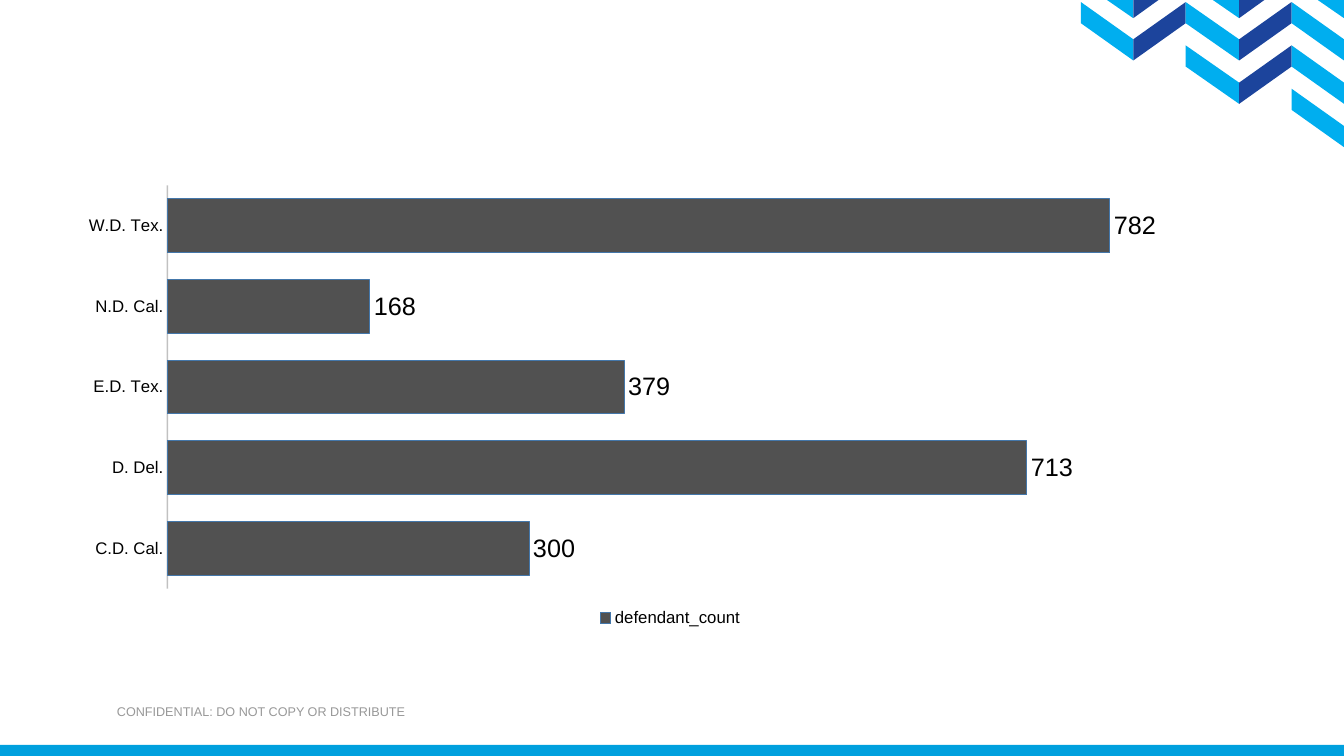
from lxml import etree
from pptx import Presentation
from pptx import util as u
from pptx.chart.data import CategoryChartData
from pptx.dml.color import RGBColor
from pptx.enum import chart as ch, shapes, text
from pptx.oxml.ns import qn

LIGHT, DARK = "00AEEF", "1C449C"


def paint(sp, color):
    sp.shadow.inherit = False
    sp.fill.solid()
    sp.fill.fore_color.rgb = RGBColor.from_string(color)
    sp.line.fill.background()


def style(font, size, color="000000"):
    font.name = "Arial"
    font.size = u.Pt(size)
    font.color.rgb = RGBColor.from_string(color)


prs = Presentation()
prs.slide_width, prs.slide_height = u.Inches(13.33), u.Inches(7.5)
s = prs.slides.add_slide(prs.slide_layouts[6])

# Footer text and bar
tb = s.shapes.add_textbox(u.Inches(1.03), u.Inches(6.86), u.Inches(9.97), u.Inches(0.4))
tf = tb.text_frame
tf.word_wrap = True
tf.vertical_anchor = text.MSO_ANCHOR.MIDDLE
tf.margin_left = tf.margin_right = u.Inches(0.13)
tf.margin_top = tf.margin_bottom = u.Inches(0.07)
r = tf.paragraphs[0].add_run()
r.text = "CONFIDENTIAL: DO NOT COPY OR DISTRIBUTE"
style(r.font, 9, "989898")
bar = s.shapes.add_shape(shapes.MSO_SHAPE.RECTANGLE, 0, u.Inches(7.39), prs.slide_width, u.Inches(0.11))
paint(bar, "00A0DE")

# Corner chevrons: bands falling and rising in turn, cut off by the slide's top edge
xs = [10.72, 11.24, 11.76, 12.29, 12.81, 13.33]
outlines = []
for i, rows in enumerate([1, 1, 2, 2, 3]):
    color = DARK if i % 2 else LIGHT
    left, right = xs[i], xs[i + 1]
    valley, peak = (left, right) if i % 2 else (right, left)
    for k in range(rows):
        y = 0.02 + 0.43 * k
        outlines.append((color, [(peak, y), (valley, y + 0.37), (valley, y + 0.58), (peak, y + 0.21)]))
for x in xs[1::2]:
    outlines.append((LIGHT, [(x - 0.26, 0), (x, 0), (x, 0.18)]))
for x in xs[1:4:2]:
    outlines.append((DARK, [(x, 0), (x + 0.25, 0), (x, 0.18)]))
for color, points in outlines:
    points = [(u.Inches(x), u.Inches(y)) for x, y in points]
    fb = s.shapes.build_freeform(*points[0])
    fb.add_line_segments(points[1:], close=True)
    paint(fb.convert_to_shape(), color)

# Bar chart
data = CategoryChartData()
data.categories = ["C.D. Cal.", "D. Del.", "E.D. Tex.", "N.D. Cal.", "W.D. Tex."]
data.add_series("defendant_count", [300, 713, 379, 168, 782])
chart = s.shapes.add_chart(ch.XL_CHART_TYPE.BAR_CLUSTERED, u.Inches(0.64), u.Inches(1.75),
                           u.Inches(12.02), u.Inches(4.51), data).chart
style(chart.font, 18, "515151")
chart.has_title = False
chart.has_legend = True
chart.legend.position = ch.XL_LEGEND_POSITION.BOTTOM
chart.legend.include_in_layout = False
style(chart.legend.font, 12)

# Axes
cat = chart.category_axis
cat.major_tick_mark = cat.minor_tick_mark = ch.XL_TICK_MARK.NONE
style(cat.tick_labels.font, 12)
cat.format.line.width = u.Pt(1)
cat.format.line.color.rgb = RGBColor.from_string("999999")
for clr in cat.format.line._ln.iter(qn("a:srgbClr")):
    etree.SubElement(clr, qn("a:alpha"), val="60000")
val = chart.value_axis
val.visible = False
val.has_major_gridlines = False
val.minimum_scale, val.maximum_scale = 0, 900

# Bars and their labels
plot = chart.plots[0]
plot.gap_width = 50
plot.vary_by_categories = False
ser = plot.series[0]
ser.format.fill.solid()
ser.format.fill.fore_color.rgb = RGBColor.from_string("515151")
ser.format.line.width = u.Pt(0.75)
ser.format.line.color.rgb = RGBColor.from_string("4477AA")
labels = ser.data_labels
labels.show_value = True
labels.position = ch.XL_LABEL_POSITION.OUTSIDE_END
labels.number_format = "#,##0"
labels.number_format_is_linked = False
style(labels.font, 18)

prs.save("out.pptx")
